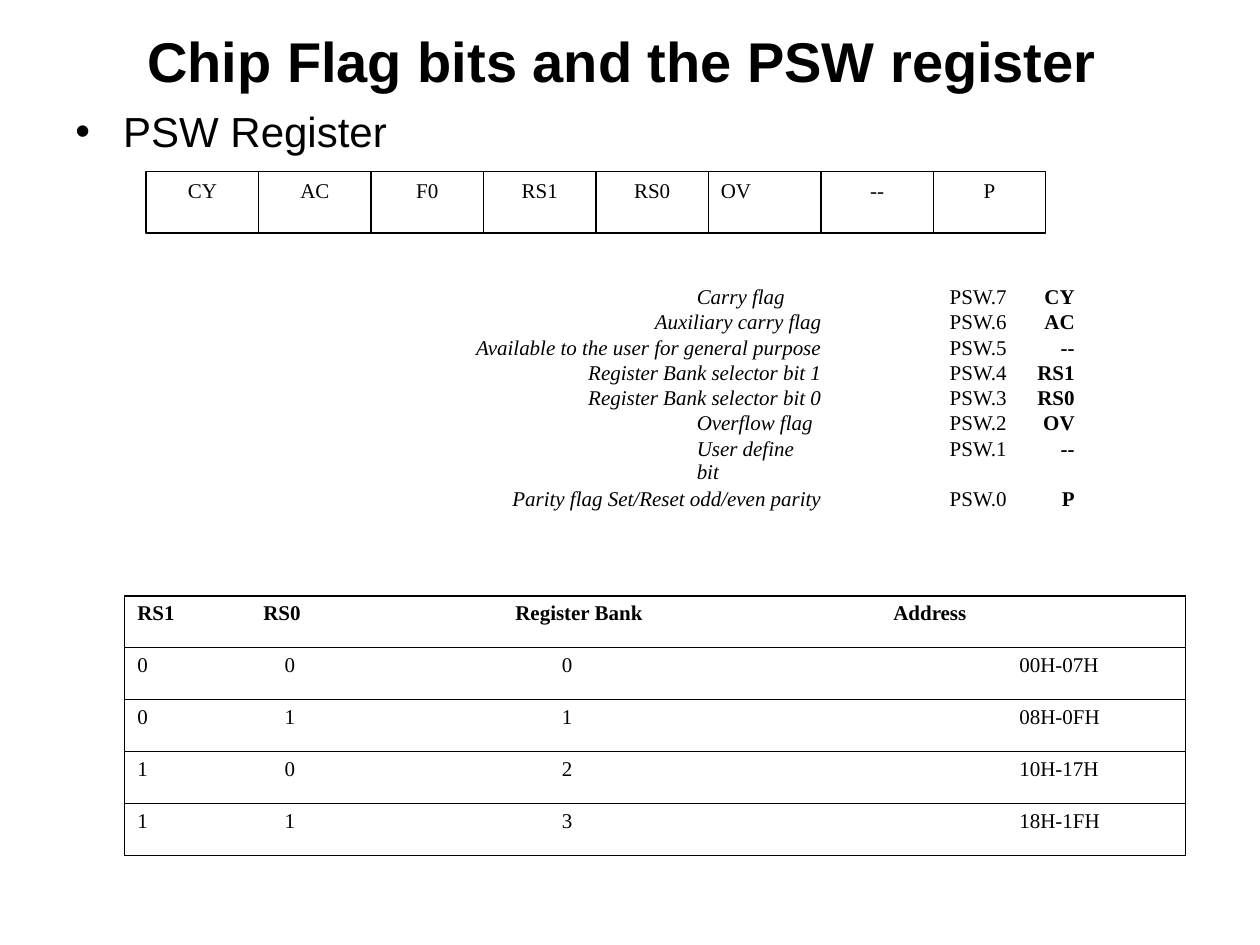
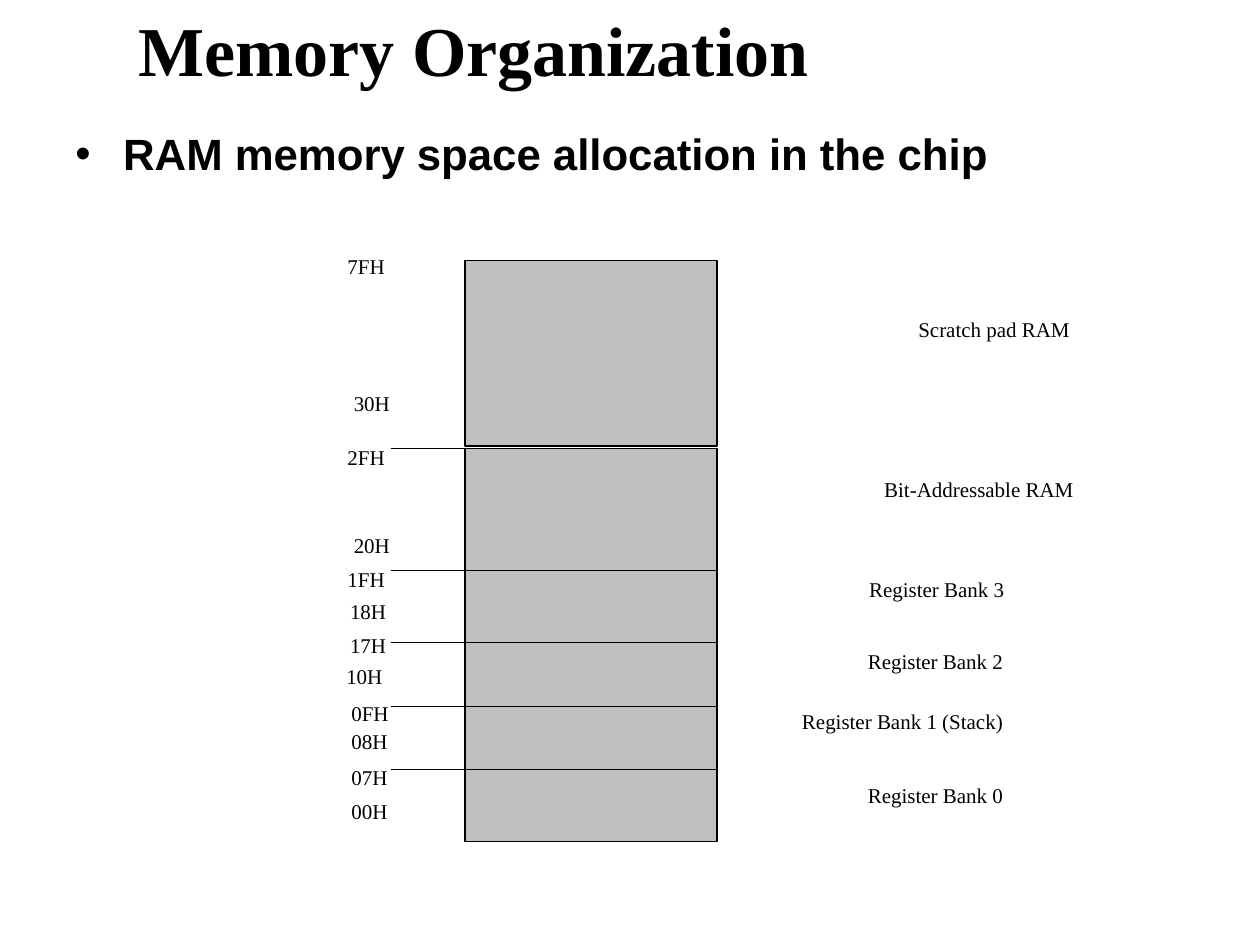
from lxml import etree
from pptx import Presentation
from pptx import util as u
from pptx.dml.color import RGBColor
from pptx.enum import shapes, text
from pptx.oxml.ns import qn

COLS, ROWS = 100, 75
WIDE, HIGH = u.Inches(10), u.Inches(7.5)
BLACK, WHITE, GRAY = "000000", "FFFFFF", "C0C0C0"
SANS, SERIF = "Arial", "Times New Roman"
LINE = 0.75
LEFT, MID, RIGHT = text.PP_ALIGN.LEFT, text.PP_ALIGN.CENTER, text.PP_ALIGN.RIGHT
SMALL = dict(name=SERIF, size=u.Pt(12), bold=False, italic=False)

BITS = ["CY", "AC", "F0", "RS1", "RS0", "OV", "--", "P"]
# description, bit, name, indent of a left-aligned description
FLAGS = [
    ("Carry flag", "PSW.7", "CY", 20.3),
    ("Auxiliary carry flag", "PSW.6", "AC", None),
    ("Available to the user for general purpose", "PSW.5", "--", None),
    ("Register Bank selector bit 1", "PSW.4", "RS1", None),
    ("Register Bank selector bit 0", "PSW.3", "RS0", None),
    ("Overflow flag", "PSW.2", "OV", 20.3),
    ("User define bit", "PSW.1", "--", 20.3),
    ("Parity flag Set/Reset odd/even parity", "PSW.0", "P", None),
]
BANKS = [
    ("RS1", "RS0", "Register Bank", "Address"),
    ("0", "0", "0", "00H-07H"),
    ("0", "1", "1", "08H-0FH"),
    ("1", "0", "2", "10H-17H"),
    ("1", "1", "3", "18H-1FH"),
]
# top, height, ((address, column, row), ...), (label, width, row)
BANDS = [
    (20.7, 14.7, (("7FH", 26.6, 19.6), ("30H", 27.1, 30.5)),
     ("Scratch pad RAM", 29, 24.6)),
    (35.6, 10, (("2FH", 26.6, 34.8), ("20H", 27.1, 41.8)),
     ("Bit-Addressable RAM", 29.3, 37.3)),
    (45.3, 5.7, (("1FH", 26.6, 44.5), ("18H", 26.8, 47)),
     ("Register Bank 3", 23.8, 45.3)),
    (51, 5.1, (("17H", 26.8, 49.7), ("10H", 26.5, 52.2)),
     ("Register Bank 2", 23.7, 51)),
    (56.1, 5.1, (("0FH", 26.9, 55.1), ("08H", 26.9, 57.3)),
     ("Register Bank 1 (Stack)", 23.7, 55.7)),
    (61.1, 5.7, (("07H", 26.9, 60.2), ("00H", 26.9, 62.9)),
     ("Register Bank 0", 23.7, 61.6)),
]


def across(col):
    return u.Emu(round(WIDE * col / COLS))


def down(row):
    return u.Emu(round(HIGH * row / ROWS))


def place(col, row, wide, high):
    return across(col), down(row), across(wide), down(high)


def tint(code):
    return RGBColor.from_string(code)


def write(frame, words, align=LEFT, **style):
    para = frame.paragraphs[0]
    para.alignment = align
    run = para.add_run()
    run.text = words
    for key, val in {**SMALL, **style}.items():
        setattr(run.font, key, val)
    run.font.color.rgb = tint(BLACK)
    return para


def label(slide, words, spot, align=LEFT, anchor=text.MSO_ANCHOR.TOP, **style):
    frame = slide.shapes.add_textbox(*place(*spot)).text_frame
    frame.word_wrap = True
    frame.vertical_anchor = anchor
    return write(frame, words, align, **style)


def title(slide, words, spot, align, **style):
    label(slide, words, spot, align, text.MSO_ANCHOR.MIDDLE, bold=True, **style)


def bullet(slide, words, spot, **style):
    para = label(slide, words, spot, name=SANS, **style)
    props = para._p.get_or_add_pPr()
    hang = across(3.8)
    props.set("marL", str(hang))
    props.set("indent", str(-hang))
    etree.SubElement(props, qn("a:buFont"), typeface=SANS)
    etree.SubElement(props, qn("a:buChar"), char="•")


def block(slide, spot, fill):
    box = slide.shapes.add_shape(shapes.MSO_SHAPE.RECTANGLE, *place(*spot))
    box.shadow.inherit = False
    box.fill.solid()
    box.fill.fore_color.rgb = tint(fill)
    box.line.color.rgb = tint(BLACK)
    box.line.width = u.Pt(LINE)
    return box


def tick(slide, start, end, row):
    line = slide.shapes.add_connector(
        shapes.MSO_CONNECTOR.STRAIGHT,
        across(start), down(row), across(end), down(row))
    line.line.color.rgb = tint(BLACK)
    line.line.width = u.Pt(LINE)
    etree.SubElement(line._element.spPr, qn("a:effectLst"))


def grid(slide, spot, widths, count):
    """Add a plain table whose rows share the height of the spot."""
    table = slide.shapes.add_table(count, len(widths), *place(*spot)).table
    table.first_row = table.horz_banding = False
    for col, wide in zip(table.columns, widths):
        col.width = across(wide)
    for row in table.rows:
        row.height = down(spot[3] / count)
    return table


def edge(cell, sides):
    """Draw the named sides (L, R, T, B) of a cell and clear the others."""
    props = cell._tc.get_or_add_tcPr()
    for side in "LRTB":
        line = etree.SubElement(props, qn(f"a:ln{side}"), w=str(u.Pt(LINE)))
        if side in sides:
            fill = etree.SubElement(line, qn("a:solidFill"))
            etree.SubElement(fill, qn("a:srgbClr"), val=BLACK)
        else:
            etree.SubElement(line, qn("a:noFill"))


def fill_cell(cell, words, sides, pads, align=LEFT, **style):
    """Fill a cell; pads are its left, right and vertical margins."""
    edge(cell, sides)
    cell.fill.solid()
    cell.fill.fore_color.rgb = tint(WHITE)
    left, right, end = pads
    cell.margin_left, cell.margin_right = across(left), across(right)
    cell.margin_top = cell.margin_bottom = down(end)
    write(cell.text_frame, words, align, **style)


def bit_row(slide):
    pitch = 71.4 / len(BITS)
    for num, name in enumerate(BITS):
        box = block(slide, (11.6 + num * pitch, 13.6, pitch, 4.9), WHITE)
        box.text_frame.vertical_anchor = text.MSO_ANCHOR.TOP
        write(box.text_frame, name, LEFT if name == "OV" else MID)


def flag_list(slide):
    table = grid(slide, (35, 22.7, 50.3, 16), (30.2, 14.7, 5.4), len(FLAGS))
    for row, (use, bit, name, inset) in enumerate(FLAGS):
        fill_cell(table.cell(row, 0), use, "", (inset or 0, 0, 0),
                  LEFT if inset else RIGHT, italic=True)
        fill_cell(table.cell(row, 1), bit, "", (0, 0, 0), RIGHT)
        fill_cell(table.cell(row, 2), name, "", (0, 0, 0), RIGHT, bold=True)


def bank_table(slide):
    table = grid(slide, (9.9, 47.3, 84.2, 20.6), (10, 20, 30, 24.2), len(BANKS))
    insets = (0, 1.7, 3.7, 10)
    for row, words in enumerate(BANKS):
        for col, word in enumerate(words):
            sides = "TB" + {0: "L", len(words) - 1: "R"}.get(col, "")
            inset = insets[col] if row else 0
            fill_cell(table.cell(row, col), word, sides,
                      (1 + inset, 1, 0.5), bold=row == 0)


def memory_map(slide):
    left, wide = 36.9, 20
    for num, (top, high, ends, (name, span, row)) in enumerate(BANDS):
        block(slide, (left, top, wide, high), GRAY)
        if num:
            tick(slide, 31, left, top)
        for mark, col, line in ends:
            label(slide, mark, (col, line, 10.6, 4.5))
        label(slide, name, (left + wide, row, span, 5.9), RIGHT)


def main():
    deck = Presentation()
    deck.slide_width, deck.slide_height = WIDE, HIGH
    blank = deck.slide_layouts[6]

    flags = deck.slides.add_slide(blank)
    title(flags, "Chip Flag bits and the PSW register", (4.4, 0, 90, 9.5),
          MID, name=SANS, size=u.Pt(32))
    bullet(flags, "PSW Register", (5, 7.9, 90, 5.5), size=u.Pt(24))
    bit_row(flags)
    flag_list(flags)
    bank_table(flags)

    memory = deck.slides.add_slide(blank)
    title(memory, "Memory Organization", (10, 0, 72.2, 7.7),
          LEFT, size=u.Pt(40))
    bullet(memory, "RAM memory space allocation in the chip",
           (5, 9.6, 90, 5.5), size=u.Pt(25), bold=True)
    memory_map(memory)

    deck.save("out.pptx")


if __name__ == "__main__":
    main()
